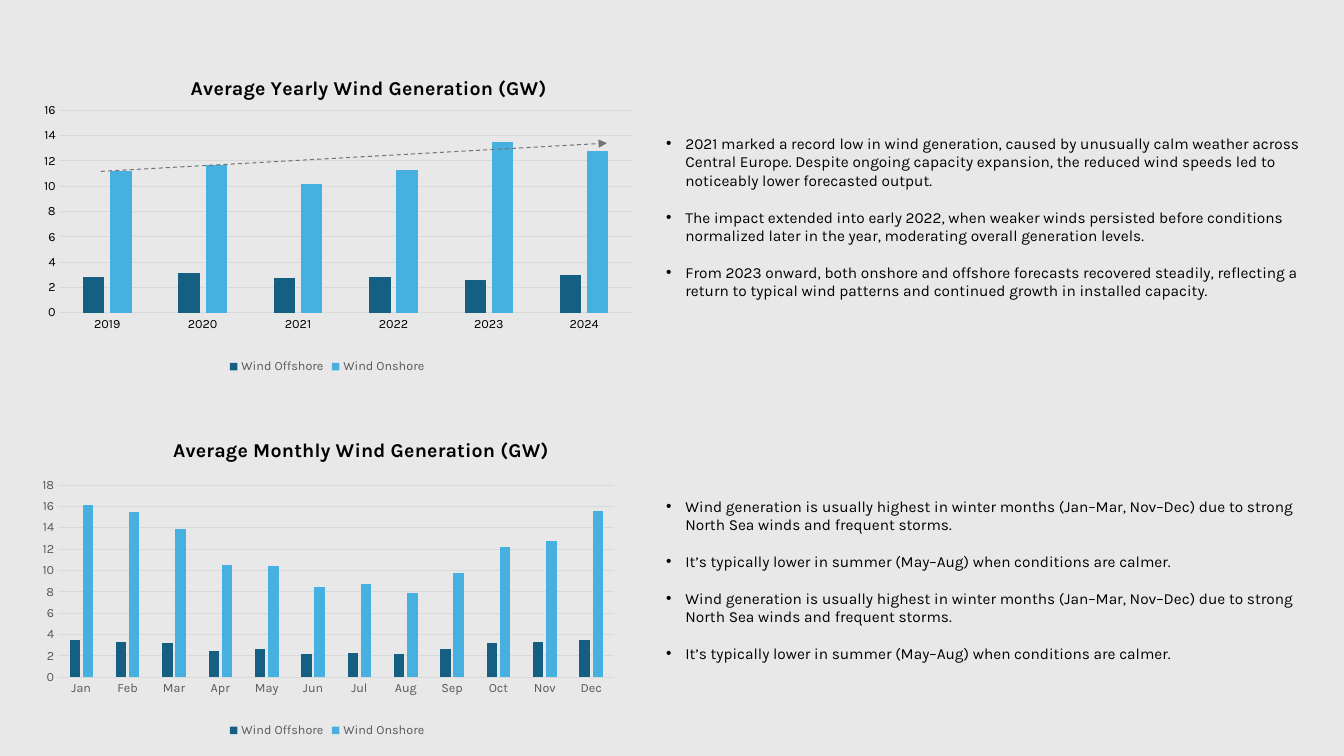
from lxml import etree
from pptx import Presentation
from pptx.chart.data import CategoryChartData
from pptx.dml.color import RGBColor
from pptx.enum.chart import XL_CHART_TYPE, XL_LEGEND_POSITION, XL_TICK_MARK
from pptx.enum.dml import MSO_LINE
from pptx.enum.shapes import MSO_CONNECTOR
from pptx.oxml.ns import qn
from pptx.util import Inches, Pt

COLUMNS = XL_CHART_TYPE.COLUMN_CLUSTERED
BOTTOM = XL_LEGEND_POSITION.BOTTOM
NO_TICK = XL_TICK_MARK.NONE
STRAIGHT = MSO_CONNECTOR.STRAIGHT
DASH = MSO_LINE.DASH

# Content
FONT = "Karla"
COLORS = {"bg": "E8E8E8", "text": "000000", "muted": "595959", "grid": "D9D9D9",
          "trend": "747474", "Wind Offshore": "156082", "Wind Onshore": "46B1E1"}
WINTER = ("Wind generation is usually highest in winter months (Jan–Mar, Nov–Dec) "
          "due to strong North Sea winds and frequent storms.")
SUMMER = "It’s typically lower in summer (May–Aug) when conditions are calmer."
SECTIONS = [
    {"title": "Average Yearly Wind Generation (GW)",
     "cats": ["2019", "2020", "2021", "2022", "2023", "2024"],
     "series": {"Wind Offshore": [2.8, 3.1, 2.7, 2.8, 2.6, 3],
                "Wind Onshore": [11.2, 11.7, 10.2, 11.3, 13.5, 12.8]},
     "max": 16, "axis_color": "text",
     "chart_box": (0.16, 0.59, 6.17, 3.16),
     "title_at": (0.275, 0.04), "plot": (0.07, 0.16, 0.92, 0.635),
     "text_box": (6.51, 1.28, 6.67, 1.96),
     "bullets": [
         "2021 marked a record low in wind generation, caused by unusually calm "
         "weather across Central Europe. Despite ongoing capacity expansion, the "
         "reduced wind speeds led to noticeably lower forecasted output.",
         "The impact extended into early 2022, when weaker winds persisted before "
         "conditions normalized later in the year, moderating overall generation levels.",
         "From 2023 onward, both onshore and offshore forecasts recovered steadily, "
         "reflecting a return to typical wind patterns and continued growth in "
         "installed capacity."]},
    {"title": "Average Monthly Wind Generation (GW)",
     "cats": ["Jan", "Feb", "Mar", "Apr", "May", "Jun",
              "Jul", "Aug", "Sep", "Oct", "Nov", "Dec"],
     "series": {"Wind Offshore": [3.5, 3.3, 3.2, 2.5, 2.6, 2.2,
                                  2.3, 2.2, 2.6, 3.2, 3.3, 3.5],
                "Wind Onshore": [16.1, 15.5, 13.9, 10.5, 10.4, 8.4,
                                 8.7, 7.9, 9.8, 12.2, 12.8, 15.6]},
     "max": 18, "axis_color": "muted",
     "chart_box": (0.24, 4.06, 6.01, 3.3),
     "title_at": (0.24, 0.075), "plot": (0.056, 0.228, 0.918, 0.578),
     "text_box": (6.51, 4.88, 6.83, 1.95),
     "bullets": [WINTER, SUMMER, WINTER, SUMMER]},
]
TREND = (1, 1.7, 6.02, 1.42)


def rgb(name):
    return RGBColor.from_string(COLORS[name])


def inches(box):
    return [Inches(v) for v in box]


def style(font, size, color, bold=False):
    font.name, font.size, font.bold = FONT, Pt(size), bold
    font.color.rgb = rgb(color)


def rule(line, color):
    line.color.rgb = rgb(color)
    line.width = Pt(0.75)


def set_layout(parent, index, values):
    """Place a chart part by shares of the chart's size."""
    for old in parent.findall(qn("c:layout")):
        parent.remove(old)
    layout = etree.Element(qn("c:layout"))
    manual = etree.SubElement(layout, qn("c:manualLayout"))
    if len(values) == 4:
        etree.SubElement(manual, qn("c:layoutTarget")).set("val", "inner")
    for key in ("xMode", "yMode"):
        etree.SubElement(manual, qn(f"c:{key}")).set("val", "edge")
    for key, value in zip("xywh", values):
        etree.SubElement(manual, qn(f"c:{key}")).set("val", str(value))
    parent.insert(index, layout)


def add_wind_chart(slide, sec):
    data = CategoryChartData()
    data.categories = sec["cats"]
    for name, values in sec["series"].items():
        data.add_series(name, values)
    chart = slide.shapes.add_chart(COLUMNS, *inches(sec["chart_box"]), data).chart
    style(chart.font, 10, "text")

    # Title and legend
    chart.has_title = True
    r = chart.chart_title.text_frame.paragraphs[0].add_run()
    r.text = sec["title"]
    style(r.font, 14, "text", bold=True)
    set_layout(chart.chart_title._element, 1, sec["title_at"])
    chart.has_legend = True
    chart.legend.position = BOTTOM
    chart.legend.include_in_layout = False
    style(chart.legend.font, 9, "muted")

    # Columns
    plot = chart.plots[0]
    plot.gap_width, plot.overlap, plot.vary_by_categories = 219, -27, False
    for series in plot.series:
        series.format.fill.solid()
        series.format.fill.fore_color.rgb = rgb(series.name)
    set_layout(plot._element.getparent(), 0, sec["plot"])

    # Axes
    cat_axis, val_axis = chart.category_axis, chart.value_axis
    for axis in (cat_axis, val_axis):
        axis.major_tick_mark = axis.minor_tick_mark = NO_TICK
        style(axis.tick_labels.font, 9, sec["axis_color"])
    rule(cat_axis.format.line, "grid")
    val_axis.format.line.fill.background()
    val_axis.minimum_scale, val_axis.maximum_scale = 0, sec["max"]
    val_axis.major_unit = 2
    rule(val_axis.major_gridlines.format.line, "grid")


def add_bullets(slide, sec):
    tf = slide.shapes.add_textbox(*inches(sec["text_box"])).text_frame
    tf.word_wrap = True
    for i, text in enumerate(sec["bullets"]):
        p = tf.paragraphs[0] if i == 0 else tf.add_paragraph()
        pPr = p._p.get_or_add_pPr()
        pPr.set("marL", str(Inches(0.19)))
        pPr.set("indent", str(-Inches(0.19)))
        etree.SubElement(pPr, qn("a:buFont")).set("typeface", "Arial")
        etree.SubElement(pPr, qn("a:buChar")).set("char", "•")
        if i:
            p.space_before = Pt(13)
        r = p.add_run()
        r.text = text
        style(r.font, 11, "text")


def main():
    prs = Presentation()
    prs.slide_width, prs.slide_height = Inches(13.33), Inches(7.5)
    slide = prs.slides.add_slide(prs.slide_layouts[6])
    slide.background.fill.solid()
    slide.background.fill.fore_color.rgb = rgb("bg")

    for sec in SECTIONS:
        add_bullets(slide, sec)
        add_wind_chart(slide, sec)

    # Trend arrow over the yearly chart
    trend = slide.shapes.add_connector(STRAIGHT, *inches(TREND))
    rule(trend.line, "trend")
    trend.line.dash_style = DASH
    etree.SubElement(trend.line._get_or_add_ln(), qn("a:tailEnd")).set("type", "triangle")
    etree.SubElement(trend._element.spPr, qn("a:effectLst"))

    prs.save("out.pptx")


if __name__ == "__main__":
    main()
